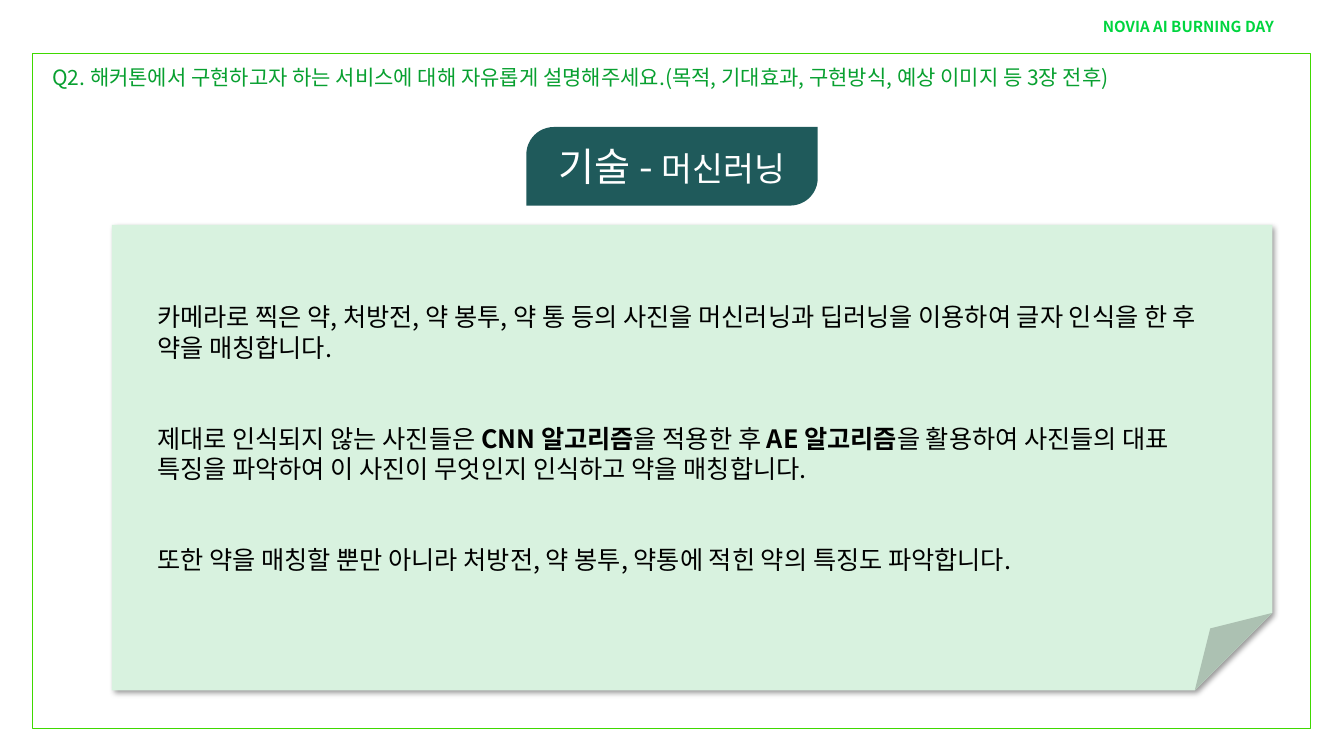
from lxml import etree
from pptx import Presentation
from pptx.dml.color import RGBColor
from pptx.enum.shapes import MSO_SHAPE
from pptx.enum.text import MSO_ANCHOR, MSO_AUTO_SIZE, PP_ALIGN
from pptx.oxml.ns import qn
from pptx.util import Inches, Pt

RECT = MSO_SHAPE.RECTANGLE
NOTE = MSO_SHAPE.FOLDED_CORNER
TAB = MSO_SHAPE.ROUND_2_DIAG_RECTANGLE
MIDDLE, CENTER = MSO_ANCHOR.MIDDLE, PP_ALIGN.CENTER
GROW = MSO_AUTO_SIZE.SHAPE_TO_FIT_TEXT

FONT = "Noto Sans CJK KR"
COLORS = {
    "brand": "00D53F", "frame": "3FD900", "question": "08A030",
    "note": "D8F2DF", "tab": "1F5A5B", "white": "FFFFFF", "black": "000000",
}

# Content: each paragraph is a list of (text, size, bold) runs
EVENT = [[("NOVIA AI BURNING DAY", 10.8, True)]]
QUESTION = [[("Q2. 해커톤에서 구현하고자 하는 서비스에 대해 자유롭게 설명해주세요."
              "(목적, 기대효과, 구현방식, 예상 이미지 등 3장 전후)", 15, False)]]
TITLE = [[("기술 - ", 28, False), ("머신러닝", 24, False)]]
BODY = [
    [("카메라로 찍은 약, 처방전, 약 봉투, 약 통 등의 사진을 머신러닝과 딥러닝을 "
      "이용하여 글자 인식을 한 후 약을 매칭합니다.", 18, False)],
    [("제대로 인식되지 않는 사진들은 ", 18, False),
     ("CNN 알고리즘", 18, True),
     ("을 적용한 후 ", 18, False),
     ("AE 알고리즘", 18, True),
     ("을 활용하여 사진들의 대표 특징을 파악하여 이 사진이 무엇인지 인식하고 "
      "약을 매칭합니다.", 18, False)],
    [("또한 약을 매칭할 뿐만 아니라 처방전, 약 봉투, 약통에 적힌 약의 특징도 "
      "파악합니다.", 18, False)],
]
BODY_LINE = 21.7  # points per line; paragraphs are two lines apart


def rgb(name):
    return RGBColor.from_string(COLORS[name])


def add_shape(s, kind, box, fill=None, line=None):
    sp = s.shapes.add_shape(kind, *map(Inches, box))
    sp.shadow.inherit = False
    if fill:
        sp.fill.solid()
        sp.fill.fore_color.rgb = rgb(fill)
    else:
        sp.fill.background()
    if line:
        sp.line.color.rgb = rgb(line)
        sp.line.width = Pt(1)
    else:
        sp.line.fill.background()
    return sp


def add_shadow(sp, color, alpha, blur, dist, angle):
    effects = sp._element.spPr.find(qn("a:effectLst"))
    shadow = etree.SubElement(
        effects, qn("a:outerShdw"), blurRad=str(Pt(blur)), dist=str(Pt(dist)),
        dir=str(angle * 60000), algn="tl", rotWithShape="0")
    clr = etree.SubElement(shadow, qn("a:srgbClr"), val=COLORS[color])
    etree.SubElement(clr, qn("a:alpha"), val=str(alpha * 1000))


def write(sp, paragraphs, color, gap=0, **formats):
    tf = sp.text_frame
    tf.word_wrap = True
    for i, runs in enumerate(paragraphs):
        p = tf.paragraphs[0] if i == 0 else tf.add_paragraph()
        for name, value in formats.items():
            setattr(p, name, value)
        if i:
            p.space_before = Pt(gap)
        for text, size, bold in runs:
            r = p.add_run()
            r.text = text
            look = {"size": Pt(size), "bold": bold, "name": FONT}
            for name, value in look.items():
                setattr(r.font, name, value)
            r.font.color.rgb = rgb(color)
            # East Asian typeface for the Hangul
            etree.SubElement(r.font._element, qn("a:ea"), typeface=FONT)
    return tf


def add_text(s, box, *args, **formats):
    return write(s.shapes.add_textbox(*map(Inches, box)), *args, **formats)


prs = Presentation()
prs.slide_width, prs.slide_height = Inches(13.33), Inches(7.5)
s = prs.slides.add_slide(prs.slide_layouts[6])

# Header, frame and question
add_text(s, (10.84, 0.17, 2.09, 0.36), EVENT, "brand",
         line_spacing=0.7, space_before=Pt(10))
add_shape(s, RECT, (0.32, 0.53, 12.68, 6.7), line="frame")
add_text(s, (0.42, 0.62, 12.5, 0.54), QUESTION, "question",
         line_spacing=0.9, space_before=Pt(10))

# Note sheet
note = add_shape(s, NOTE, (1.11, 2.23, 11.51, 4.62), fill="note")
add_shadow(note, "black", alpha=40, blur=4, dist=3, angle=45)

# Title tab
tab = add_shape(s, TAB, (5.22, 1.26, 2.89, 0.78), fill="tab")
tab.adjustments[0], tab.adjustments[1] = 0.35, 0
write(tab, TITLE, "white", alignment=CENTER).vertical_anchor = MIDDLE

# Body text
tf = add_text(s, (1.46, 2.94, 10.81, 2.83), BODY, "black",
              gap=2 * BODY_LINE, line_spacing=Pt(BODY_LINE))
tf.auto_size = GROW

prs.save("out.pptx")
